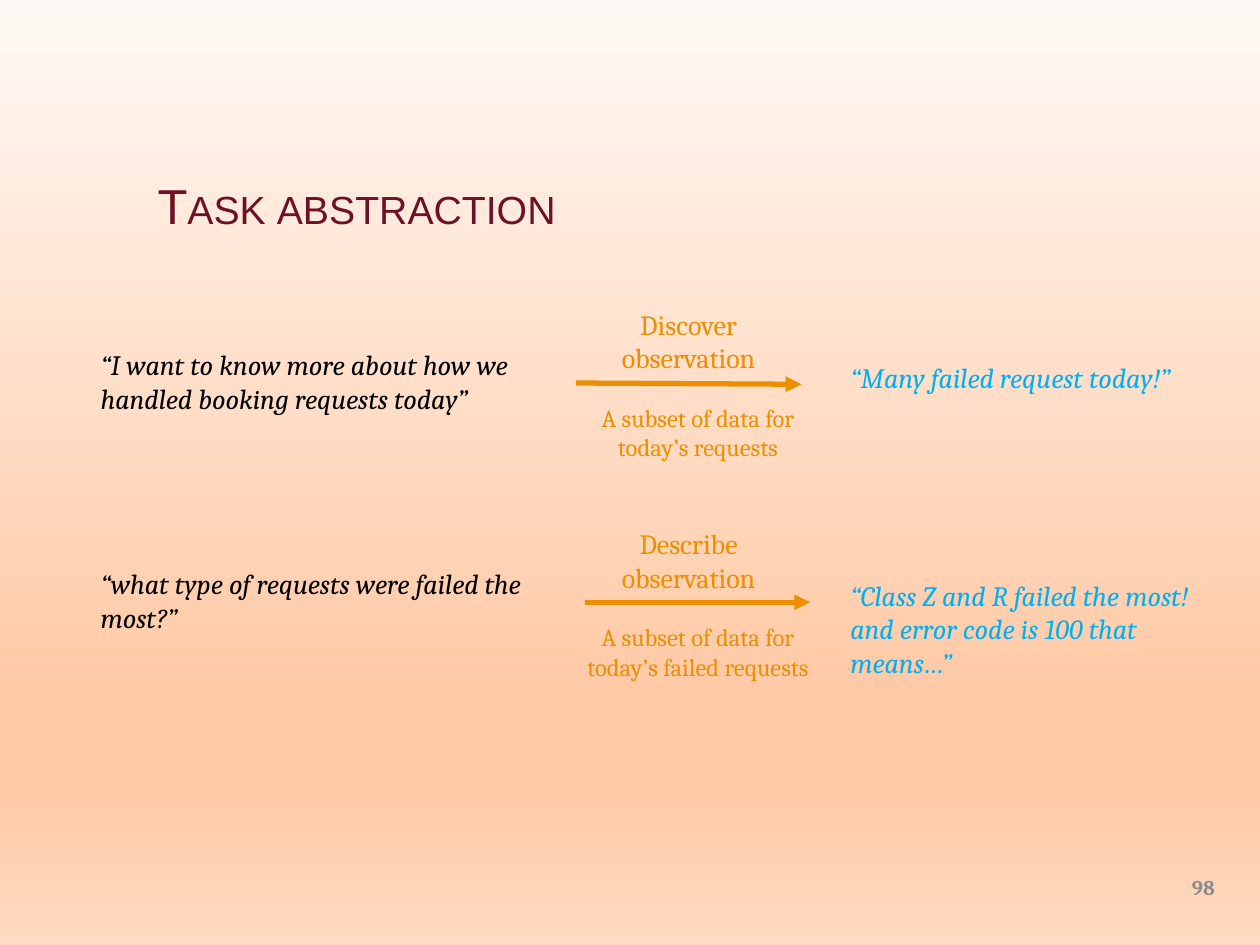
from dataclasses import dataclass

from lxml import etree
from pptx import Presentation
from pptx import util as u
from pptx.dml.color import RGBColor
from pptx.enum import shapes, text
from pptx.oxml import ns

In = u.Inches


@dataclass(frozen=True)
class Theme:
    heading: str = "Arial"
    body: str = "Cambria"
    title_color: str = "6D1226"
    question: str = "000000"
    action: str = "EB8F00"
    answer: str = "00B0F0"
    number: str = "8C8C8C"
    title_size: int = 28
    text_size: int = 16
    note_size: int = 14
    number_size: int = 12
    background: tuple = ((0, "FFF9F5"), (74, "FFC9A5"), (83, "FFC9A5"), (100, "FFDBC3"))


T = Theme()
LEFT, CENTER, RIGHT = text.PP_ALIGN.LEFT, text.PP_ALIGN.CENTER, text.PP_ALIGN.RIGHT


def set_background(s):
    fill = s.background.fill
    fill.gradient()
    fill.gradient_angle = 270  # counter-clockwise, so top to bottom
    stops = s.element.find(".//" + ns.qn("a:gsLst"))
    for stop in list(stops):
        stops.remove(stop)
    for pos, color in T.background:
        stop = etree.SubElement(stops, ns.qn("a:gs"), pos=str(pos * 1000))
        etree.SubElement(stop, ns.qn("a:srgbClr"), val=color)


def style(p, font, size, color, align=LEFT, bold=False, italic=False):
    p.alignment = align
    f = p.font
    f.name, f.size, f.bold, f.italic = font, u.Pt(size), bold, italic
    f.color.rgb = RGBColor.from_string(color)


def add_title(s, words):
    sp = s.shapes.title
    sp.left, sp.top, sp.width, sp.height = In(1.15), In(0.82), In(7.91), In(1.09)
    tf = sp.text_frame
    tf.vertical_anchor = text.MSO_ANCHOR.BOTTOM
    p = tf.paragraphs[0]
    r = p.add_run()
    r.text = words
    r.font._element.set("cap", "small")
    style(p, T.heading, T.title_size, T.title_color)


def add_text(parent, words, box, size, color, **look):
    sp = parent.shapes.add_textbox(*map(In, box))
    tf = sp.text_frame
    tf.word_wrap = True
    p = tf.paragraphs[0]
    p.text = words
    style(p, T.body, size, color, **look)
    return tf


def add_arrow(parent, x, y, drop):
    c = parent.shapes.add_connector(
        shapes.MSO_CONNECTOR.STRAIGHT, In(x), In(y), In(x + 1.79), In(y + drop))
    c.line.width = u.Pt(3)
    c.line.color.rgb = RGBColor.from_string(T.action)
    etree.SubElement(c.line._get_or_add_ln(), ns.qn("a:tailEnd"), type="triangle")
    etree.SubElement(c._element.spPr, ns.qn("a:effectLst"))


def add_task(s, top, question, action, data, answer, answer_box, arrow):
    """One row: question, arrow with action above and data below, answer."""
    g = s.shapes.add_group_shape()
    add_text(g, question, (0.7, top + 0.32, 3.73, 0.64), T.text_size, T.question, italic=True)
    add_arrow(g, *arrow)
    add_text(g, action, (4.64, top, 1.65, 0.64), T.text_size, T.action, align=CENTER)
    add_text(g, data, (4.5, top + 0.76, 2.08, 0.57), T.note_size, T.action, align=CENTER)
    add_text(g, answer, answer_box, T.text_size, T.answer, italic=True)


def main():
    prs = Presentation()
    prs.slide_width, prs.slide_height = In(10), In(7.5)
    s = prs.slides.add_slide(prs.slide_layouts[5])
    set_background(s)
    add_title(s, "Task abstraction")

    # Tasks
    add_task(s, 2.39, "“I want to know more about how we handled booking requests today”",
             "Discover observation", "A subset of data for today’s requests",
             "“Many failed request today!”", (6.65, 2.81, 3.02, 0.37), (4.57, 3.04, 0.01))
    add_task(s, 4.13, "“what type of requests were failed the most?”",
             "Describe observation", "A subset of data for today’s failed requests",
             "“Class Z and R failed the most! and error code is 100 that means…”",
             (6.65, 4.54, 3.02, 0.91), (4.64, 4.78, 0))

    # Page number
    tf = add_text(s, "98", (7.41, 6.84, 2.33, 0.4), T.number_size, T.number,
                  align=RIGHT, bold=True)
    tf.vertical_anchor = text.MSO_ANCHOR.MIDDLE

    prs.save("out.pptx")


if __name__ == "__main__":
    main()
